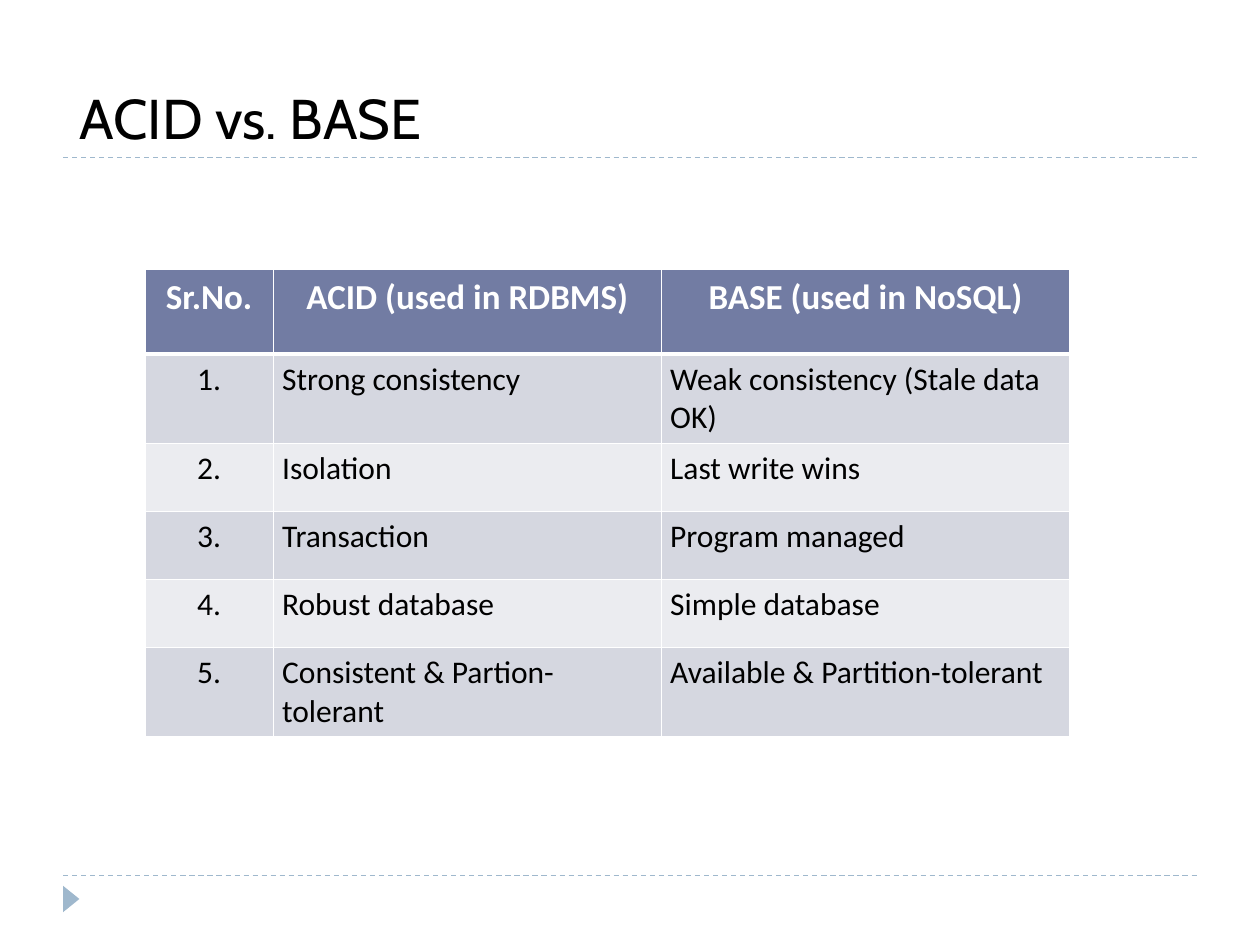
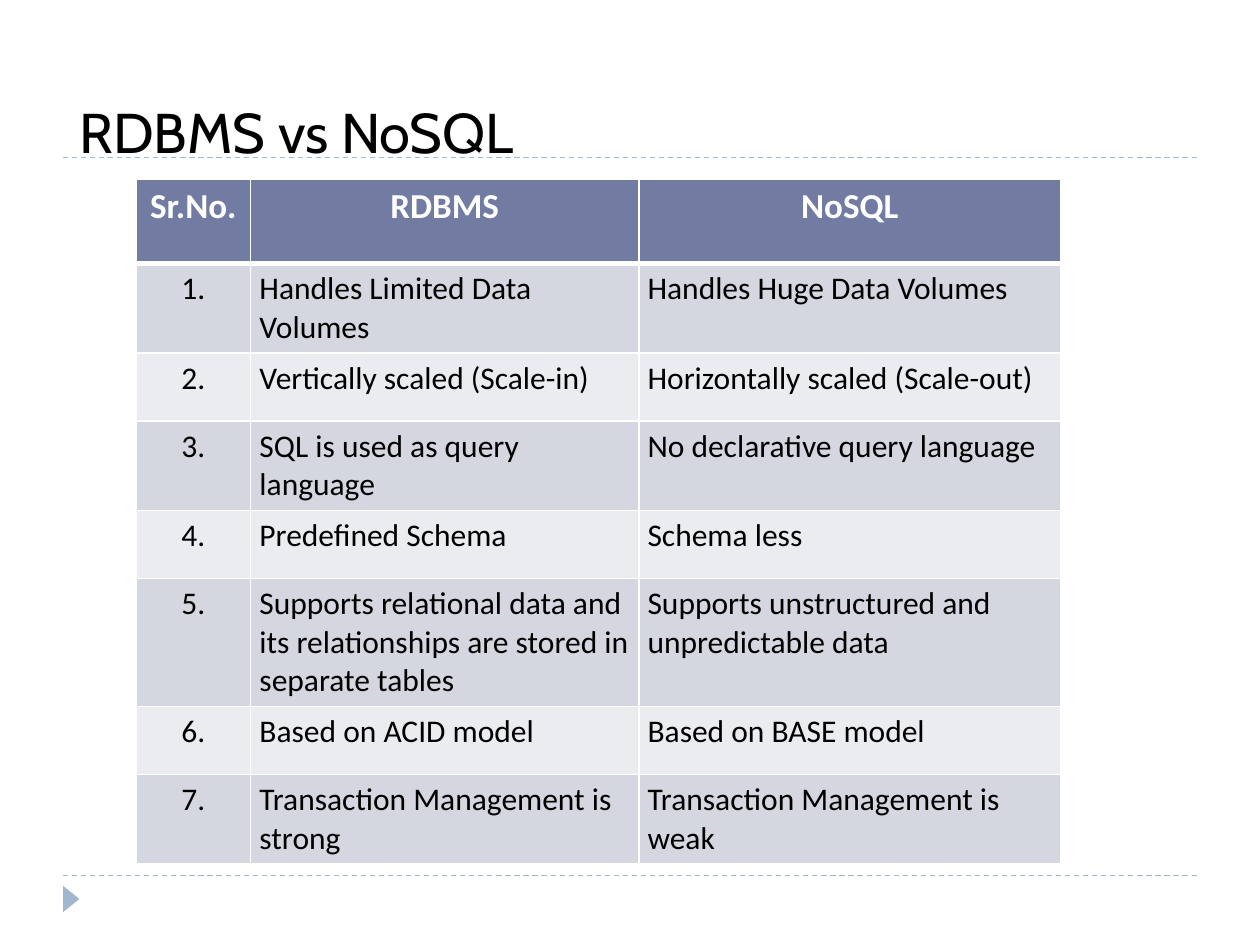
from lxml import etree
from pptx import Presentation
from pptx.dml.color import RGBColor
from pptx.enum import dml, shapes, text
from pptx.oxml import ns
from pptx.util import Inches, Pt

COMPARISONS = [
    {
        "title": "ACID vs. BASE",
        "title_height": 0.75,
        "corner": (1.15, 2.14),
        "columns": (1.02, 3.08, 3.24),
        "header": ("Sr.No.", "ACID (used in RDBMS)", "BASE (used in NoSQL)"),
        "pairs": [
            ("Strong consistency", "Weak consistency (Stale data OK)"),
            ("Isolation", "Last write wins"),
            ("Transaction", "Program managed"),
            ("Robust database", "Simple database"),
            ("Consistent & Partion-tolerant", "Available & Partition-tolerant"),
        ],
    },
    {
        "title": "RDBMS vs NoSQL",
        "title_height": 0.86,
        "corner": (1.08, 1.42),
        "columns": (0.91, 3.08, 3.35),
        "header": ("Sr.No.", "RDBMS", "NoSQL"),
        "pairs": [
            ("Handles Limited Data Volumes", "Handles Huge Data Volumes"),
            ("Vertically scaled (Scale-in)", "Horizontally scaled (Scale-out)"),
            ("SQL is used as query language", "No declarative query language"),
            ("Predefined Schema", "Schema less"),
            ("Supports relational data and its relationships are stored in separate tables",
             "Supports unstructured and unpredictable data"),
            ("Based on ACID model", "Based on BASE model"),
            ("Transaction Management is strong", "Transaction Management is weak"),
        ],
    },
]

TITLE_FONT, TABLE_FONT = "Cabin", "Calibri"
BLACK, WHITE, ACCENT, HEADER = "000000", "FFFFFF", "9FB8CD", "727CA3"
BANDS = ("EBECF0", "D5D7E0")
RULES = (6.95, 1.25)
HEADER_HEIGHT, ROW_HEIGHT = 0.67, 0.54
MARGIN_X, MARGIN_Y = 0.07, 0.05


def colour(hex_value):
    return RGBColor.from_string(hex_value)


def style(paragraph, font, size, ink, bold=False, align=text.PP_ALIGN.LEFT):
    paragraph.alignment = align
    for run in paragraph.runs:
        run.font.name = font
        run.font.size = Pt(size)
        run.font.bold = bold
        run.font.color.rgb = colour(ink)


def add_frame(slide):
    for y in RULES:
        rule = slide.shapes.add_connector(
            shapes.MSO_CONNECTOR.STRAIGHT, Inches(0.5), Inches(y), Inches(9.5), Inches(y))
        rule.line.color.rgb = colour(ACCENT)
        rule.line.width = Pt(0.75)
        rule.line.dash_style = dml.MSO_LINE.DASH
        etree.SubElement(rule._element.spPr, ns.qn("a:effectLst"))
    marker = slide.shapes.add_shape(
        shapes.MSO_SHAPE.ISOSCELES_TRIANGLE,
        Inches(0.46), Inches(7.07), Inches(0.21), Inches(0.13))
    marker.rotation = 90
    marker.shadow.inherit = False
    marker.fill.solid()
    marker.fill.fore_color.rgb = colour(ACCENT)
    marker.line.fill.background()


def set_title(slide, wording, height):
    title = slide.shapes.title
    title.left, title.top = Inches(0.53), Inches(0.5)
    title.width, title.height = Inches(7.71), Inches(height)
    frame = title.text_frame
    frame.text = wording
    frame.auto_size = text.MSO_AUTO_SIZE.NONE
    frame.vertical_anchor = text.MSO_ANCHOR.BOTTOM
    style(frame.paragraphs[0], TITLE_FONT, 32, BLACK)


def set_borders(cell, top, bottom):
    properties = cell._tc.get_or_add_tcPr()
    for side, width in (("L", 1), ("R", 1), ("T", top), ("B", bottom)):
        border = etree.SubElement(properties, ns.qn(f"a:ln{side}"), w=str(Pt(width)))
        fill = etree.SubElement(border, ns.qn("a:solidFill"))
        etree.SubElement(fill, ns.qn("a:srgbClr"), val=WHITE)


def fill_cell(cell, wording, row, column):
    is_header = row == 0
    set_borders(cell, top=3 if row == 1 else 1, bottom=3 if is_header else 1)
    cell.fill.solid()
    cell.fill.fore_color.rgb = colour(HEADER if is_header else BANDS[row % 2])
    cell.margin_left = cell.margin_right = Inches(MARGIN_X)
    cell.margin_top = cell.margin_bottom = Inches(MARGIN_Y)
    cell.text_frame.text = wording
    centred = is_header or column == 0
    style(cell.text_frame.paragraphs[0], TABLE_FONT,
          20 if is_header else 18, WHITE if is_header else BLACK, is_header,
          text.PP_ALIGN.CENTER if centred else text.PP_ALIGN.LEFT)


def add_comparison(slide, comparison):
    rows = [comparison["header"]]
    rows += [(f"{number}.", *pair) for number, pair in enumerate(comparison["pairs"], 1)]
    widths = comparison["columns"]
    heights = [HEADER_HEIGHT] + [ROW_HEIGHT] * len(comparison["pairs"])
    left, top = comparison["corner"]
    table = slide.shapes.add_table(
        len(rows), len(widths), Inches(left), Inches(top),
        Inches(sum(widths)), Inches(sum(heights))).table
    for column, width in zip(table.columns, widths):
        column.width = Inches(width)
    for row, height in zip(table.rows, heights):
        row.height = Inches(height)
    for r, wordings in enumerate(rows):
        for c, wording in enumerate(wordings):
            fill_cell(table.cell(r, c), wording, r, c)


def main():
    deck = Presentation()
    deck.slide_width, deck.slide_height = Inches(10), Inches(7.5)
    for comparison in COMPARISONS:
        slide = deck.slides.add_slide(deck.slide_layouts[5])
        add_frame(slide)
        set_title(slide, comparison["title"], comparison["title_height"])
        add_comparison(slide, comparison)
    deck.save("out.pptx")


if __name__ == "__main__":
    main()
